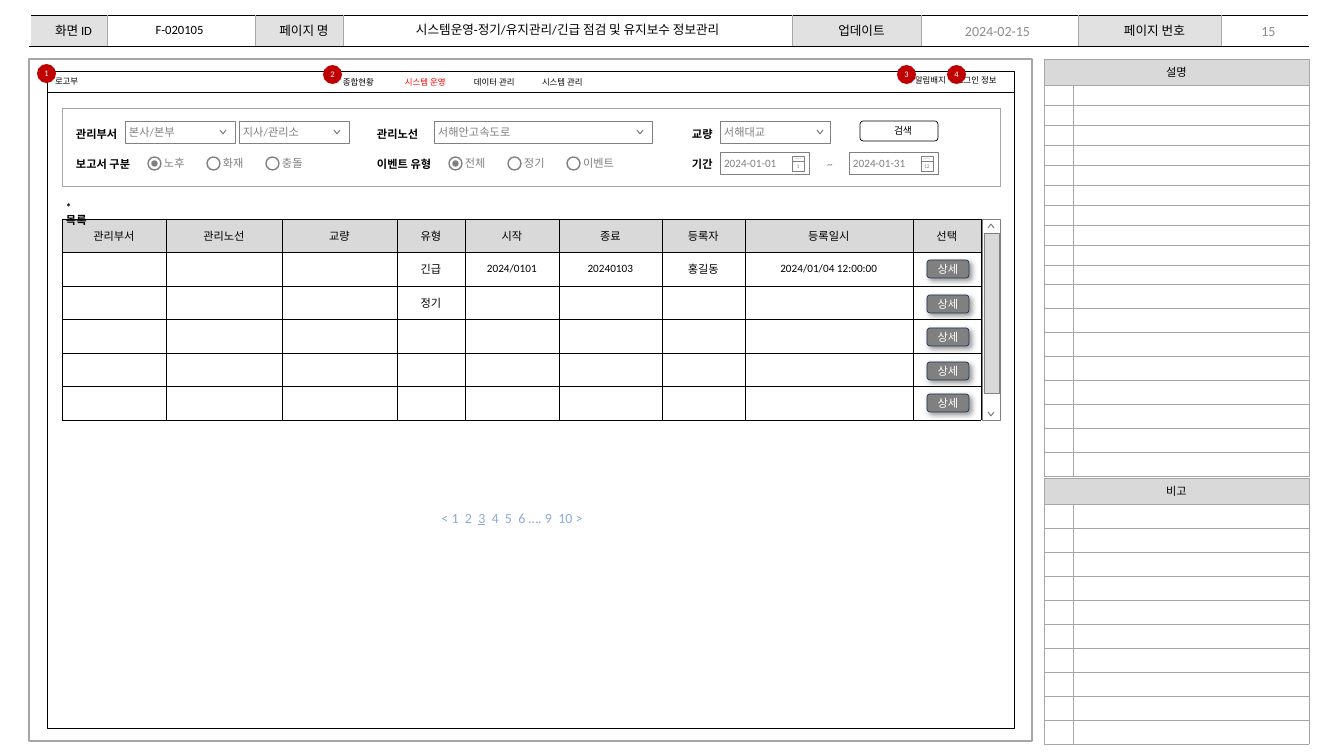
from lxml import etree
from pptx import Presentation, util as u
from pptx.dml.color import RGBColor
from pptx.enum import shapes, text
from pptx.oxml import parse_xml
from pptx.oxml.ns import nsdecls, qn

EMU_PER_PX = 914400 / 100.8
BLACK, WHITE, GRAY, SILVER, PALE = "000000", "FFFFFF", "808080", "A6A6A6", "D9D9D9"
RED, ALERT, MUTED = "C00000", "FF0000", "8C8C8C"
LEFT, CENTER = text.PP_ALIGN.LEFT, text.PP_ALIGN.CENTER
MIDDLE, TOP = text.MSO_ANCHOR.MIDDLE, text.MSO_ANCHOR.TOP
FIELD_INSET = (4, 5, 4, 5)


def px(length):
    return u.Emu(round(length * EMU_PER_PX))


def rgb(color):
    return RGBColor.from_string(color)


def assign(target, **formats):
    for name, value in formats.items():
        setattr(target, name, value)


class Wireframe:
    font = "Calibri"

    def __init__(self, width, height):
        self.deck = Presentation()
        assign(self.deck, slide_width=px(width), slide_height=px(height))
        self.slide = self.deck.slides.add_slide(self.deck.slide_layouts[6])

    def fill_text(self, frame, content, size=8, color=BLACK, bold=False, align=LEFT,
                  anchor=MIDDLE, inset=(0, 0, 0, 0), wrap=True, underlined=None):
        left, top, right, bottom = map(px, inset)
        assign(frame, margin_left=left, margin_top=top, margin_right=right,
               margin_bottom=bottom, vertical_anchor=anchor, word_wrap=wrap)
        paragraph = frame.paragraphs[0]
        paragraph.alignment = align
        for part in [content] if isinstance(content, str) else content:
            run = paragraph.add_run()
            run.text = part
            assign(run.font, name=self.font, size=u.Pt(size), bold=bold,
                   underline=part == underlined)
            run.font.color.rgb = rgb(color)

    def label(self, x, y, width, height, content, **style):
        frame = self.slide.shapes.add_textbox(*map(px, (x, y, width, height))).text_frame
        self.fill_text(frame, content, **style)
        if not frame.word_wrap:
            frame.auto_size = text.MSO_AUTO_SIZE.SHAPE_TO_FIT_TEXT

    def shape(self, kind, x, y, width, height, fill=None, line=None, weight=0.5,
              content=None, **style):
        item = self.slide.shapes.add_shape(kind, *map(px, (x, y, width, height)))
        item.shadow.inherit = False
        if fill:
            item.fill.solid()
            item.fill.fore_color.rgb = rgb(fill)
        else:
            item.fill.background()
        if line:
            item.line.color.rgb = rgb(line)
            item.line.width = u.Pt(weight)
        else:
            item.line.fill.background()
        if content:
            self.fill_text(item.text_frame, content, **style)
        return item

    def box(self, *args, **style):
        return self.shape(shapes.MSO_SHAPE.RECTANGLE, *args, **style)

    def pill(self, *args, **style):
        return self.shape(shapes.MSO_SHAPE.ROUNDED_RECTANGLE, *args, **style)

    def circle(self, x, y, size, **style):
        # "diameter" covers both sides, so a text size can still be given in style
        return self.shape(shapes.MSO_SHAPE.OVAL, x, y, size, size, **style)

    def chevron(self, x, tip, rise):
        """Draw a small arrow at (x, tip) whose ends lie rise px above the tip."""
        for side in (-3, 3):
            stroke = self.slide.shapes.add_connector(
                shapes.MSO_CONNECTOR.STRAIGHT, *map(px, (x + side, tip - rise, x, tip)))
            stroke.line.color.rgb = rgb(GRAY)
            stroke.line.width = u.Pt(0.75)
            etree.SubElement(stroke._element.spPr, qn("a:effectLst"))

    def dropdown(self, x, width, value, arrow):
        self.box(x, 121, width, 22, fill=WHITE, line=GRAY, content=value,
                 color=GRAY, inset=FIELD_INSET)
        self.chevron(arrow, 134, 4)

    def radio(self, x, caption, width, chosen):
        self.circle(x, 157, 13, fill=WHITE, line=GRAY, weight=1)
        if chosen:
            self.circle(x + 4, 161, 5, fill=GRAY, line=GRAY, weight=1)
        self.label(x + 12, 152, width, 23, caption, color=GRAY, inset=FIELD_INSET)

    def date_field(self, x, date, day):
        self.box(x, 152, 89, 22, fill=WHITE, line=GRAY, content=date,
                 color=GRAY, inset=FIELD_INSET)
        icon = dict(line=GRAY, size=4, color=GRAY, align=CENTER)
        self.box(x + 72, 161, 12, 10, content=day, **icon)
        self.box(x + 72, 156, 12, 5, content="…..", anchor=text.MSO_ANCHOR.BOTTOM, **icon)

    def badge(self, x, y, number):
        self.shape(shapes.MSO_SHAPE.OVAL, x, y, 19, 19, fill=RED, content=str(number),
                   size=6, color=WHITE, align=CENTER, wrap=False)

    def detail_button(self, y):
        button = self.pill(927, y, 42, 18, fill=GRAY, line="1E3256", content="상세",
                           color=WHITE, align=CENTER, inset=FIELD_INSET)
        button._element.spPr.find(qn("a:effectLst")).append(parse_xml(
            f'<a:outerShdw {nsdecls("a")} blurRad="50800" dist="38100" dir="2700000">'
            '<a:srgbClr val="000000"><a:alpha val="40000"/></a:srgbClr></a:outerShdw>'))

    def borders(self, cell, edges):
        """Edges maps a side (L, R, T, B) to a colour and a width in points."""
        for side, (color, weight) in edges.items():
            cell._tc.get_or_add_tcPr().append(parse_xml(
                f'<a:ln{side} {nsdecls("a")} w="{round(weight * 12700)}"><a:solidFill>'
                f'<a:srgbClr val="{color}"/></a:solidFill></a:ln{side}>'))

    def table(self, x, y, widths, heights, texts, edges, shade, merge=False,
              inset=(0, 0, 0, 0), size=8):
        """Texts maps (row, column) to wording; shade gives a cell's fill or None."""
        grid = self.slide.shapes.add_table(
            len(heights), len(widths), *map(px, (x, y, sum(widths), sum(heights)))).table
        assign(grid, first_row=False, horz_banding=False)
        for column, width in zip(grid.columns, widths):
            column.width = px(width)
        for row, height in zip(grid.rows, heights):
            row.height = px(height)
        for r in range(len(heights)):
            for c in range(len(widths)):
                cell = grid.cell(r, c)
                left, top, right, bottom = map(px, inset)
                assign(cell, margin_left=left, margin_top=top, margin_right=right,
                       margin_bottom=bottom, vertical_anchor=MIDDLE)
                self.borders(cell, edges(c))
                if shade(r, c):
                    cell.fill.solid()
                    cell.fill.fore_color.rgb = rgb(shade(r, c))
                else:
                    cell.fill.background()
                paragraph = cell.text_frame.paragraphs[0]
                if (r, c) in texts:
                    paragraph.alignment = CENTER
                    run = paragraph.add_run()
                    run.text = texts[r, c]
                    assign(run.font, name=self.font, size=u.Pt(size))
                    run.font.color.rgb = rgb(BLACK)
                else:
                    etree.SubElement(paragraph._p, qn("a:endParaRPr")).set("sz", "600")
        if merge:
            grid.cell(0, 0).merge(grid.cell(0, len(widths) - 1))


def page_header(page):
    names = {(0, 0): "화면 ID", (0, 2): "페이지 명", (0, 4): "업데이트", (0, 6): "페이지 번호"}

    def edges(column):
        outer, inner, rule = (WHITE, 1), (SILVER, 0.25), (BLACK, 0.5)
        return {"L": inner if column else outer, "R": inner if column < 7 else outer,
                "T": rule, "B": rule}

    page.table(30, 15, [77, 148, 88, 449, 129, 157, 143, 88], [31], names, edges,
               lambda r, c: None if c % 2 else "E1E1E1", size=9, inset=(10, 0, 0, 0))
    for x, y, width, value, size, color in [
            (109, 18, 141, "F-020105", 9, BLACK),
            (346, 18, 443, "시스템운영-정기/유지관리/긴급 점검 및 유지보수 정보관리", 9, BLACK),
            (925, 20, 145, "2024-02-15", 10, MUTED), (1227, 20, 83, "15", 10, MUTED)]:
        page.label(x, y, width, 22, value, size=size, color=color, align=CENTER)


def side_notes(page):
    for y, title, rows in [(59, "설명", [20] * 10 + [24] * 8), (478, "비고", [24] * 10)]:
        page.table(1044, y, [29, 236], [26] + rows, {(0, 0): title},
                   lambda c: dict.fromkeys("LRTB", (SILVER, 0.25)),
                   lambda r, c: None if r else PALE, merge=True)


def navigation(page):
    page.box(29, 59, 1003, 682, line=SILVER, weight=1)
    page.box(47, 92, 967, 636, line=BLACK, weight=0.25)
    bar = page.box(47, 71, 967, 21, fill=WHITE, line=BLACK, weight=0.25)
    white = bar._element.spPr.find(qn("a:solidFill"))[0]
    etree.SubElement(white, qn("a:alpha")).set("val", "30000")
    for x, y, caption in [(55, 76, "로고부"), (915, 75, "알림배지"), (956, 75, "로그인 정보"),
                          (343, 77, "종합현황"), (405, 77, "시스템 운영"),
                          (474, 77, "데이터 관리"), (542, 77, "시스템 관리")]:
        page.label(x, y, 44 if " " in caption else 34, 10, caption, size=6, wrap=False,
                   color=ALERT if caption == "시스템 운영" else BLACK)
    for number, (x, y) in enumerate([(37, 64), (323, 65), (897, 65), (947, 65)], 1):
        page.badge(x, y, number)


def search_filter(page):
    page.box(62, 108, 938, 78, line=SILVER)
    for x, y, caption in [(72, 122, "관리부서"), (373, 122, "관리노선"), (688, 122, "교량"),
                          (72, 152, "보고서 구분"), (373, 152, "이벤트 유형"), (688, 152, "기간")]:
        page.label(x, y, 10 + 10 * len(caption), 24, caption, bold=True, anchor=TOP,
                   inset=FIELD_INSET, wrap=False)
    for field in [(125, 110, "본사/본부", 223), (239, 110, "지사/관리소", 337),
                  (434, 218, "서해안고속도로", 640), (720, 110, "서해대교", 820)]:
        page.dropdown(*field)
    for option in [(148, "노후", 37, True), (207, "화재", 37, False), (266, "충돌", 49, False),
                   (449, "전체", 37, True), (508, "정기", 37, False), (567, "이벤트", 49, False)]:
        page.radio(*option)
    page.date_field(720, "2024-01-01", "1")
    page.label(811, 152, 38, 24, "~", color=GRAY, align=CENTER, inset=FIELD_INSET)
    page.date_field(849, "2024-01-31", "12")
    page.pill(860, 121, 78, 20, fill=WHITE, line=BLACK, content="검색", size=7,
              align=CENTER, inset=(8, 0, 0, 0))


def inspection_list(page):
    heads = ["관리부서", "관리노선", "교량", "유형", "시작", "종료", "등록자", "등록일시", "선택"]
    urgent = ["긴급", "2024/0101", "20240103", "홍길동", "2024/01/04 12:00:00"]
    texts = {(0, c): head for c, head in enumerate(heads)}
    texts.update({(1, c): value for c, value in enumerate(urgent, 3)})
    texts[2, 3] = "정기"
    page.box(982, 219, 18, 201, line=GRAY)
    page.box(984, 233, 15, 160, fill=PALE, line=GRAY)
    page.chevron(991, 224, -4)
    page.chevron(991, 416, 4)
    page.table(62, 219, [104, 116, 115, 68, 94, 103, 83, 168, 68], [33, 34] * 3, texts,
               lambda c: dict.fromkeys("LRTB", (BLACK, 0.25)), lambda r, c: None if r else PALE)
    for y in (260, 295, 328, 362, 394):
        page.detail_button(y)
    page.label(62, 195, 34, 24, "* 목록", bold=True, anchor=TOP, inset=FIELD_INSET)
    page.label(434, 504, 156, 27, ["< 1  2  ", "3", "  4  5  6 …. 9  10 >"], size=10,
               color="8FAADC", align=CENTER, inset=FIELD_INSET, underlined="3")


def main():
    page = Wireframe(1344, 756)
    for section in (page_header, side_notes, navigation, search_filter, inspection_list):
        section(page)
    page.deck.save("out.pptx")


if __name__ == "__main__":
    main()
